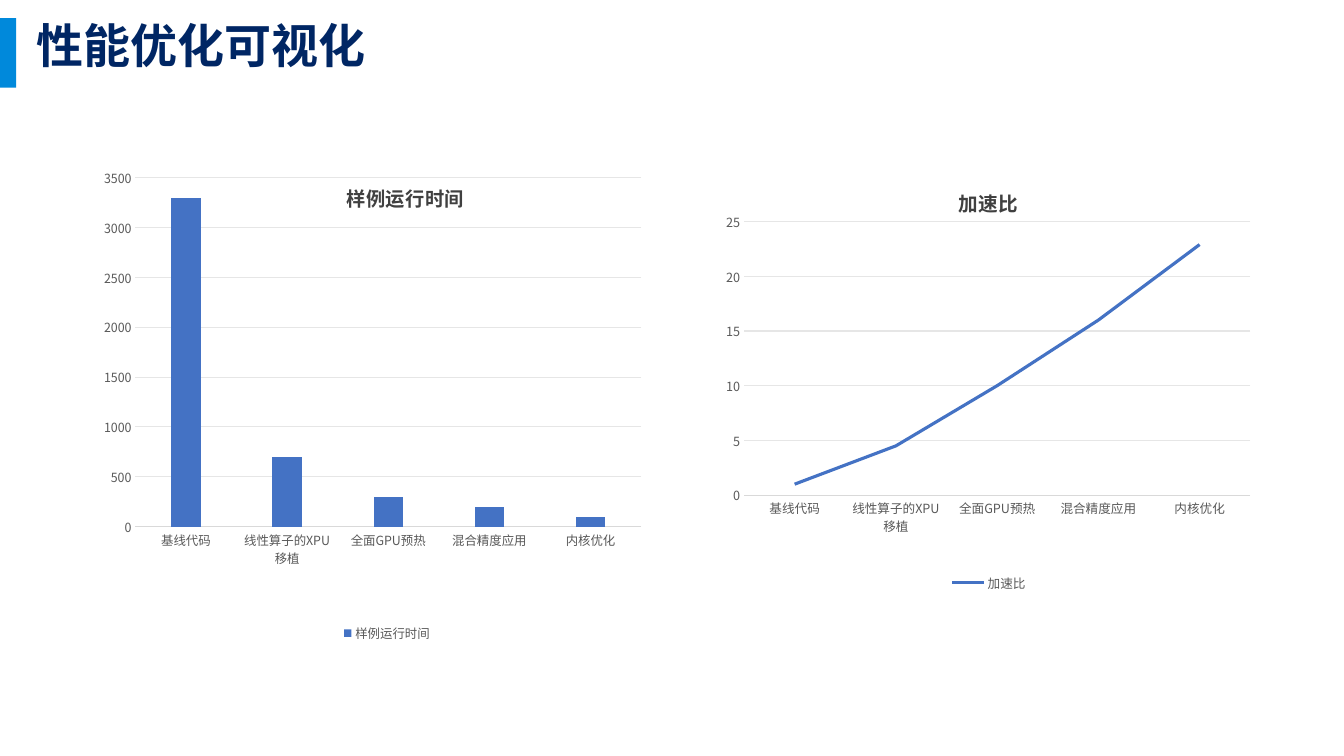
from dataclasses import dataclass

from lxml.etree import SubElement
from pptx import Presentation
from pptx.chart.data import CategoryChartData
from pptx.dml.color import RGBColor
from pptx.enum.chart import XL_CHART_TYPE, XL_LEGEND_POSITION, XL_TICK_MARK
from pptx.enum.shapes import MSO_SHAPE
from pptx.enum.text import MSO_ANCHOR
from pptx.oxml.ns import qn
from pptx.util import Cm, Pt


@dataclass(frozen=True)
class Theme:
    font: str = "Noto Sans CJK SC"
    accent: str = "0089DB"
    heading: str = "002664"
    series: str = "4472C4"
    chart_title: str = "404040"
    label: str = "595959"
    axis: str = "D9D9D9"
    grid: str = "E6E6E6"
    heading_size: float = 33.6
    chart_title_size: float = 14
    label_size: float = 9
    axis_width: float = 0.75
    series_width: float = 2.25


STAGES = ["基线代码", "线性算子的XPU移植", "全面GPU预热", "混合精度应用", "内核优化"]


def set_layout(parent, position, **fractions):
    """Place a chart part by fractions of the chart's width and height."""
    layout = parent.find(qn("c:layout"))
    if layout is None:
        layout = parent.makeelement(qn("c:layout"), {})
        parent.insert(position, layout)
    manual = SubElement(layout, qn("c:manualLayout"))
    if "w" in fractions:
        SubElement(manual, qn("c:layoutTarget"), val="inner")
    for mode in ("xMode", "yMode"):
        SubElement(manual, qn(f"c:{mode}"), val="edge")
    for name, fraction in fractions.items():
        SubElement(manual, qn(f"c:{name}"), val=str(fraction))


class SlideBuilder:
    """Draws elements on one slide in the style of a theme."""

    def __init__(self, slide, theme):
        self.slide = slide
        self.theme = theme

    def style_font(self, font, size, color, bold=False):
        font.size = Pt(size)
        font.bold = bold
        font.color.rgb = RGBColor.from_string(color)
        font.name = self.theme.font
        SubElement(font._rPr, qn("a:ea"), typeface=self.theme.font)

    def style_line(self, line, color, width):
        line.color.rgb = RGBColor.from_string(color)
        line.width = Pt(width)

    def add_bar(self, left, top, width, height):
        shape = self.slide.shapes.add_shape(
            MSO_SHAPE.RECTANGLE, Cm(left), Cm(top), Cm(width), Cm(height))
        shape.shadow.inherit = False
        shape.fill.solid()
        shape.fill.fore_color.rgb = RGBColor.from_string(self.theme.accent)
        shape.line.fill.background()

    def add_heading(self, text, left, top, width, height):
        box = self.slide.shapes.add_textbox(Cm(left), Cm(top), Cm(width), Cm(height))
        frame = box.text_frame
        frame.word_wrap = True
        frame.vertical_anchor = MSO_ANCHOR.TOP
        paragraph = frame.paragraphs[0]
        paragraph.line_spacing = 0.9
        run = paragraph.add_run()
        run.text = text
        self.style_font(run.font, self.theme.heading_size, self.theme.heading, True)

    def style_axes(self, chart, maximum, step):
        theme = self.theme
        category_axis, value_axis = chart.category_axis, chart.value_axis
        for axis in (category_axis, value_axis):
            axis.major_tick_mark = axis.minor_tick_mark = XL_TICK_MARK.NONE
            self.style_font(axis.tick_labels.font, theme.label_size, theme.label)
        self.style_line(category_axis.format.line, theme.axis, theme.axis_width)
        value_axis.format.line.fill.background()
        value_axis.minimum_scale = 0
        value_axis.maximum_scale = maximum
        value_axis.major_unit = step
        value_axis.has_major_gridlines = True
        self.style_line(value_axis.major_gridlines.format.line, theme.grid, theme.axis_width)

    def add_chart(self, kind, name, values, box, maximum, step, plot_area):
        """Add a one-series chart with its title, legend and axes."""
        theme = self.theme
        data = CategoryChartData()
        data.categories = STAGES
        data.add_series(name, values)
        chart = self.slide.shapes.add_chart(kind, *map(Cm, box), data).chart
        self.style_font(chart.font, 10, "000000")

        chart.has_title = True
        run = chart.chart_title.text_frame.paragraphs[0].add_run()
        run.text = name
        self.style_font(run.font, theme.chart_title_size, theme.chart_title, True)

        chart.has_legend = True
        chart.legend.position = XL_LEGEND_POSITION.BOTTOM
        chart.legend.include_in_layout = False
        self.style_font(chart.legend.font, theme.label_size, theme.label)

        self.style_axes(chart, maximum, step)
        chart.plots[0].vary_by_categories = False
        set_layout(chart.plots[0]._element.getparent(), 0, **plot_area)
        return chart

    def add_line_chart(self, *details):
        chart = self.add_chart(XL_CHART_TYPE.LINE, *details)
        series = chart.series[0]
        series.smooth = False
        self.style_line(series.format.line, self.theme.series, self.theme.series_width)

    def add_column_chart(self, *details):
        chart = self.add_chart(XL_CHART_TYPE.COLUMN_CLUSTERED, *details)
        plot = chart.plots[0]
        plot.gap_width = 246
        plot.overlap = -28
        fill = plot.series[0].format.fill
        fill.solid()
        fill.fore_color.rgb = RGBColor.from_string(self.theme.series)
        set_layout(chart.chart_title._element, 1, x=0.42, y=0.02)


def main():
    presentation = Presentation()
    presentation.slide_width = Cm(33.87)
    presentation.slide_height = Cm(19.05)
    slide = presentation.slides.add_slide(presentation.slide_layouts[6])

    builder = SlideBuilder(slide, Theme())
    builder.add_bar(0, 0.46, 0.41, 1.75)
    builder.add_heading("性能优化可视化", 0.66, 0.46, 27.46, 1.85)
    builder.add_line_chart(
        "加速比", [1, 4.5, 10, 16, 22.9], (17.91, 4.24, 14.02, 10.77), 25, 5,
        {"x": 0.06, "y": 0.125, "w": 0.91, "h": 0.64})
    builder.add_column_chart(
        "样例运行时间", [3300, 700, 300, 200, 100], (2.62, 4.24, 14.02, 12.04), 3500, 500,
        {"x": 0.04, "y": 0.02, "w": 0.925, "h": 0.73})
    presentation.save("out.pptx")


if __name__ == "__main__":
    main()
